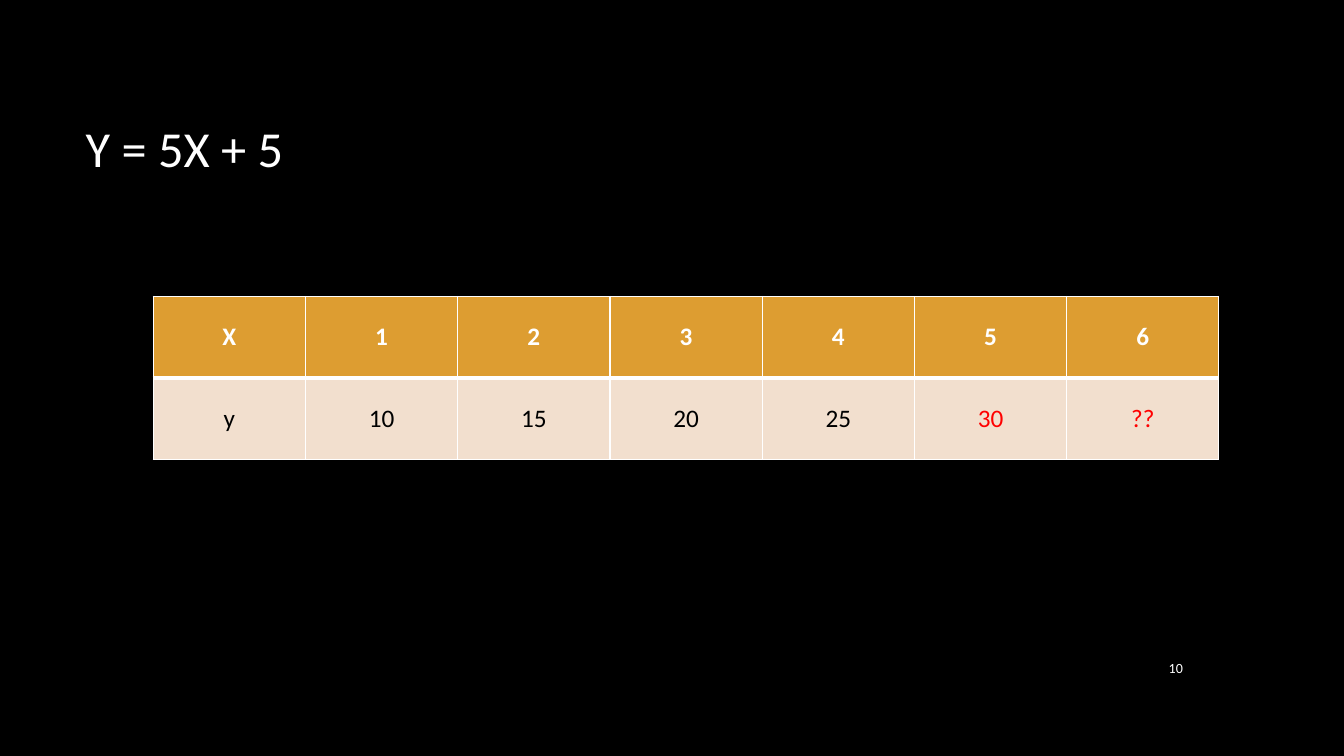
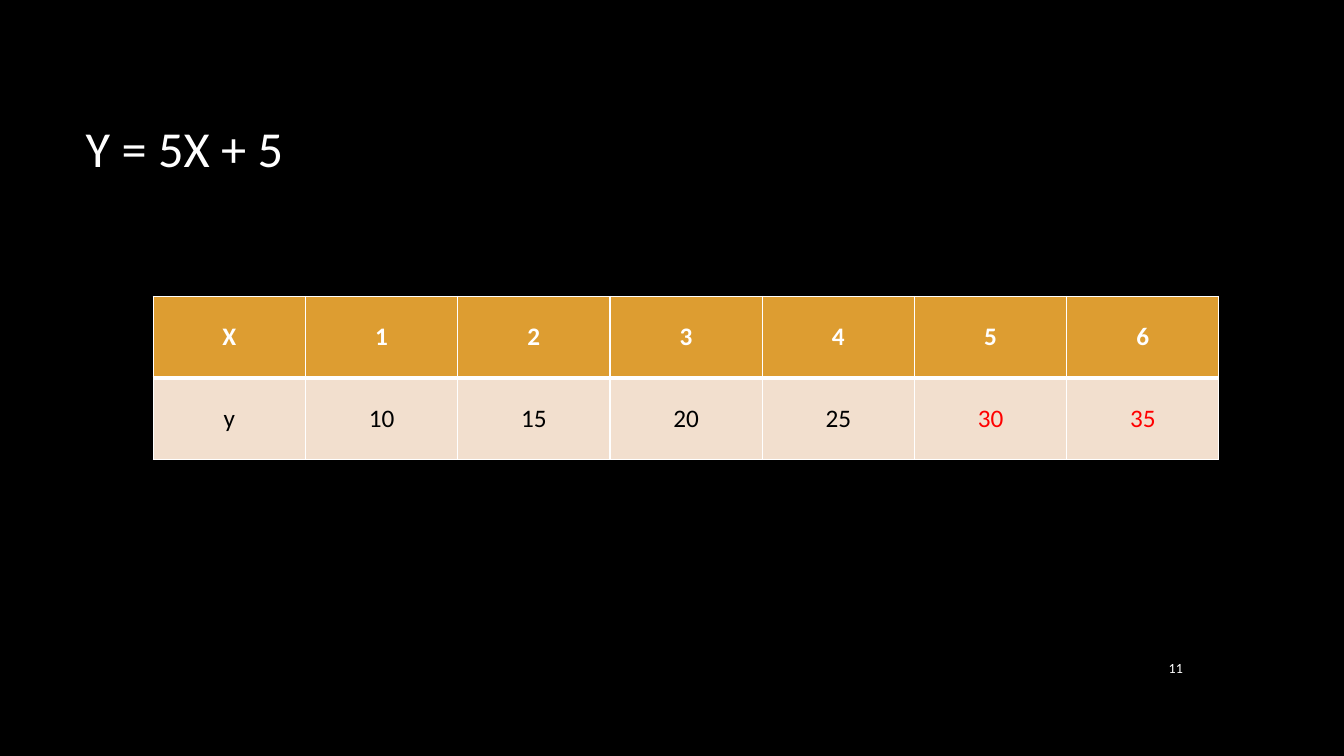
import pptx
import pptx.util
import pptx.dml.color
import pptx.enum.text
import pptx.oxml
import pptx.oxml.ns
from dataclasses import dataclass

Inches, Pt = pptx.util.Inches, pptx.util.Pt
ALIGN, ANCHOR = pptx.enum.text.PP_ALIGN, pptx.enum.text.MSO_ANCHOR

# Content
EQUATION = "Y = 5X + 5"
X_ROW = ["X", "1", "2", "3", "4", "5", "6"]
Y_KNOWN = ["y", "10", "15", "20", "25"]
SLIDES = [
    {"number": "10", "answers": ["30", "??"]},
    {"number": "11", "answers": ["30", "35"]},
]


@dataclass(frozen=True)
class Theme:
    font: str = "Calibri"
    background: str = "000000"
    light: str = "FFFFFF"
    dark: str = "000000"
    answer: str = "FF0000"
    header_fill: str = "DD9D31"
    body_fill: str = "F2DFCE"
    title_size: int = 36
    table_size: int = 18
    number_size: int = 10
    thin: int = 1
    thick: int = 3


THEME = Theme()

# Layout
TITLE_BOX = (0.75, 0.67, 11.08, 1.59)
NUMBER_BOX = (11.23, 6.42, 0.6, 0.41)
TABLE_LEFT, TABLE_TOP = 1.52, 2.94
COL_WIDTH, ROW_HEIGHT = 1.51, 0.81


def rgb(color):
    return pptx.dml.color.RGBColor.from_string(color)


def write(tf, text, size, color=THEME.light, bold=False, align=ALIGN.LEFT):
    """Put one formatted line of text into a text frame."""
    p = tf.paragraphs[0]
    p.alignment = align
    r = p.add_run()
    r.text = text
    r.font.name, r.font.size, r.font.bold = THEME.font, Pt(size), bold
    r.font.color.rgb = rgb(color)


def set_borders(cell, **widths):
    """Draw the left, right, top and bottom lines of a cell."""
    tc_pr = cell._tc.get_or_add_tcPr()
    for i, side in enumerate("LRTB"):
        width = Pt(widths.get(side, THEME.thin))
        tc_pr.insert(i, pptx.oxml.parse_xml(
            f'<a:ln{side} {pptx.oxml.ns.nsdecls("a")} w="{width}"><a:solidFill>'
            f'<a:srgbClr val="{THEME.light}"/></a:solidFill></a:ln{side}>'))


def style_master(prs):
    """Set the shared background and title place; return the layout."""
    fill = prs.slide_master.background.fill
    fill.solid()
    fill.fore_color.rgb = rgb(THEME.background)
    layout = prs.slide_layouts.get_by_name("Title Only")
    title = layout.placeholders[0]
    title.left, title.top, title.width, title.height = map(Inches, TITLE_BOX)
    title.text_frame.vertical_anchor = ANCHOR.MIDDLE
    return layout


def add_value_table(slide, answers):
    rows = [X_ROW, Y_KNOWN + answers]
    table = slide.shapes.add_table(
        len(rows), len(X_ROW), Inches(TABLE_LEFT), Inches(TABLE_TOP),
        Inches(COL_WIDTH * len(X_ROW)), Inches(ROW_HEIGHT * len(rows))).table
    for column in table.columns:
        column.width = Inches(COL_WIDTH)
    for i, values in enumerate(rows):
        header = i == 0
        for j, value in enumerate(values):
            cell = table.cell(i, j)
            cell.vertical_anchor = ANCHOR.MIDDLE
            cell.fill.solid()
            cell.fill.fore_color.rgb = rgb(
                THEME.header_fill if header else THEME.body_fill)
            # The thick rule runs between the two rows
            set_borders(cell, **{"B" if header else "T": THEME.thick})
            if header:
                color = THEME.light
            else:
                color = THEME.dark if j < len(Y_KNOWN) else THEME.answer
            write(cell.text_frame, value, THEME.table_size, color=color,
                  bold=header, align=ALIGN.CENTER)


def add_slide(prs, layout, number, answers):
    slide = prs.slides.add_slide(layout)
    write(slide.shapes.title.text_frame, EQUATION, THEME.title_size)

    # Slide number
    tf = slide.shapes.add_textbox(*map(Inches, NUMBER_BOX)).text_frame
    tf.word_wrap = True
    tf.vertical_anchor = ANCHOR.MIDDLE
    write(tf, number, THEME.number_size, align=ALIGN.RIGHT)

    add_value_table(slide, answers)


def main():
    prs = pptx.Presentation()
    prs.slide_width, prs.slide_height = Inches(13.33), Inches(7.5)
    layout = style_master(prs)
    for content in SLIDES:
        add_slide(prs, layout, **content)
    prs.save("out.pptx")


if __name__ == "__main__":
    main()
